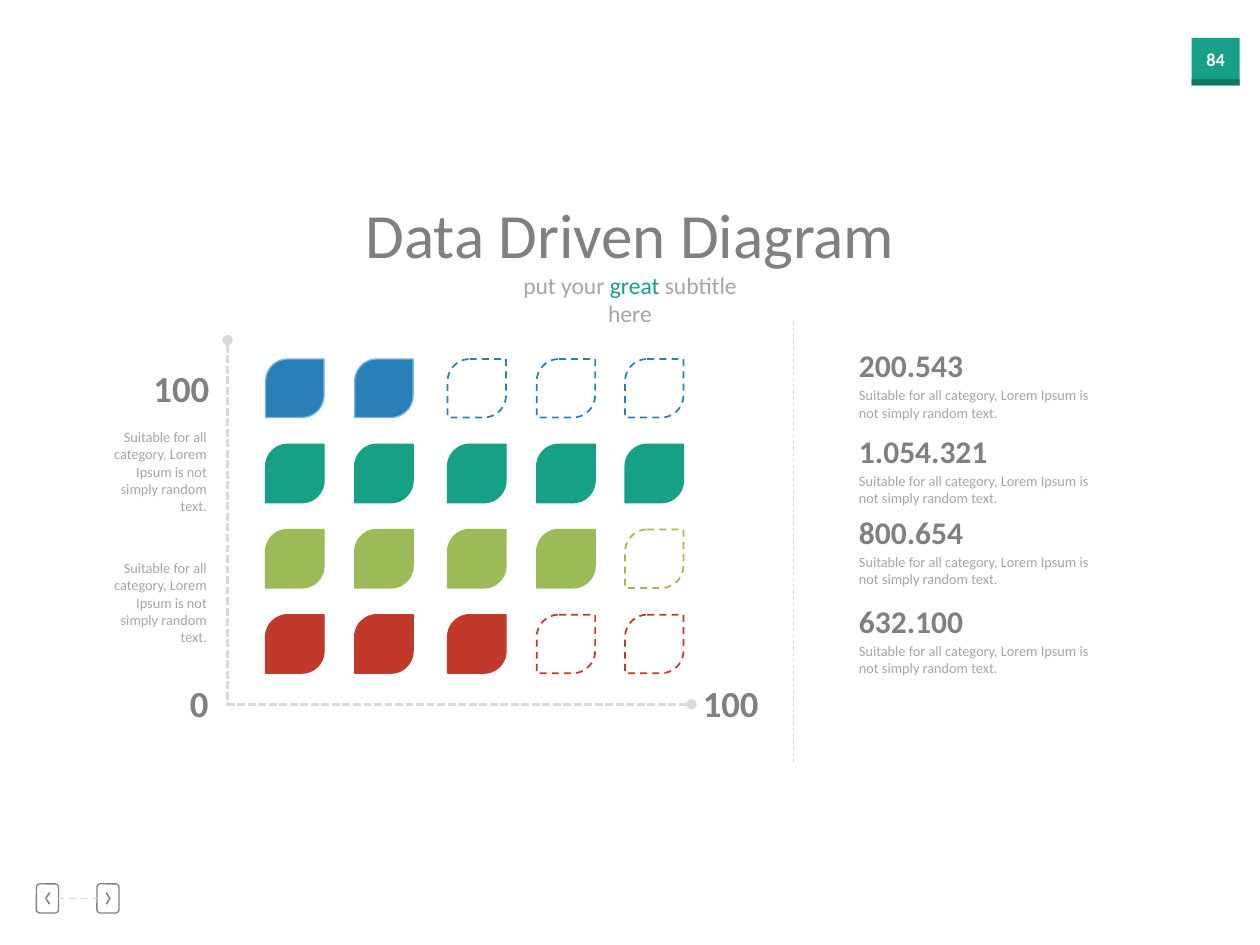
from dataclasses import dataclass

from lxml.etree import SubElement
from pptx import Presentation
from pptx.dml.color import RGBColor
from pptx.enum.dml import MSO_LINE_DASH_STYLE as Dash
from pptx.enum.shapes import MSO_CONNECTOR, MSO_SHAPE as Preset
from pptx.enum.text import PP_ALIGN as Align
from pptx.oxml.ns import qn
from pptx.util import Pt


@dataclass(frozen=True)
class Theme:
    font: str = "Calibri"
    white: str = "FFFFFF"
    dark: str = "808080"
    muted: str = "A6A6A6"
    rule: str = "D9D9D9"
    teal: str = "16A085"
    deep_teal: str = "107864"
    blue: str = "2980B9"
    light_blue: str = "74B5E0"
    green: str = "9BBB59"
    red: str = "C0392B"
    title: float = 36
    axis: float = 21
    figure: float = 18
    subtitle: float = 13.5
    badge: float = 10.5
    caption: float = 8.2


CAPTION = "Suitable for all category, Lorem Ipsum is not simply random text."
PETAL_SIZE = 33.4
PETAL_COLUMNS = (151.8, 202.7, 255.8, 306.7, 357.2)
PETAL_TOP, PETAL_PITCH = 205.2, 48.7
FIGURES = (("200.543", 194.4), ("1.054.321", 243.4),
           ("800.654", 289.4), ("632.100", 340.6))
ARROW = ((2.2, 0), (2.9, 0.7), (0.9, 3.6), (2.9, 6.5), (2.2, 7.2), (0, 3.6))


class Deck:
    def __init__(self, slide, theme):
        self.shapes = slide.shapes
        self.theme = theme

    def paint(self, shape, fill=None, line=None, weight=0.75, dash=None):
        shape.shadow.inherit = False
        if fill:
            shape.fill.solid()
            shape.fill.fore_color.rgb = RGBColor.from_string(fill)
        else:
            shape.fill.background()
        if line:
            shape.line.color.rgb = RGBColor.from_string(line)
            shape.line.width = Pt(weight)
            if dash:
                shape.line.dash_style = dash
        else:
            shape.line.fill.background()

    def preset(self, kind, left, top, width, height, rounding=(), **paint):
        shape = self.shapes.add_shape(
            kind, Pt(left), Pt(top), Pt(width), Pt(height))
        for index, amount in enumerate(rounding):
            shape.adjustments[index] = amount
        self.paint(shape, **paint)

    def polygon(self, points, **paint):
        corners = [(Pt(x), Pt(y)) for x, y in points]
        builder = self.shapes.build_freeform(*corners[0], scale=1.0)
        builder.add_line_segments(corners[1:], close=True)
        self.paint(builder.convert_to_shape(), **paint)

    def rule(self, start, end, weight, dash, **ends):
        """Dashed line; ends may give headEnd or tailEnd an arrowhead type."""
        line = self.shapes.add_connector(
            MSO_CONNECTOR.STRAIGHT, *(Pt(v) for v in (*start, *end)))
        line.line.color.rgb = RGBColor.from_string(self.theme.rule)
        line.line.width = Pt(weight)
        line.line.dash_style = dash
        outline = line.line._get_or_add_ln()
        for tag, kind in ends.items():
            SubElement(outline, qn(f"a:{tag}"), type=kind)
        SubElement(line._element.spPr, qn("a:effectLst"))

    def text(self, parts, left, top, width, height, size, color,
             align=Align.LEFT, bold=False, wrap=False):
        """One paragraph; parts is a string or a list of (text, color)."""
        box = self.shapes.add_textbox(Pt(left), Pt(top), Pt(width), Pt(height))
        box.text_frame.word_wrap = wrap
        paragraph = box.text_frame.paragraphs[0]
        paragraph.alignment = align
        if isinstance(parts, str):
            paragraph.add_run().text = parts
            paragraph.font.color.rgb = RGBColor.from_string(color)
        else:
            for words, tint in parts:
                run = paragraph.add_run()
                run.text = words
                run.font.color.rgb = RGBColor.from_string(tint)
        paragraph.font.name = self.theme.font
        paragraph.font.size = Pt(size)
        paragraph.font.bold = bold

    def caption(self, left, top, width, height, align=Align.LEFT):
        self.text(CAPTION, left, top, width, height, self.theme.caption,
                  self.theme.muted, align, wrap=True)

    def petal(self, left, top, **paint):
        self.preset(Preset.ROUND_2_DIAG_RECTANGLE, left, top,
                    PETAL_SIZE, PETAL_SIZE, rounding=(0.38, 0), **paint)

    def nav_button(self, left, forward):
        gray = self.theme.dark
        self.preset(Preset.ROUNDED_RECTANGLE, left, 505.1, 12.6, 16.6,
                    rounding=(0.15,), line=gray)
        self.polygon([(left + (7.9 - x if forward else 5 + x), 509.8 + y)
                      for x, y in ARROW], fill=gray)


def main():
    presentation = Presentation()
    presentation.slide_width, presentation.slide_height = Pt(720), Pt(540)
    theme = Theme()
    deck = Deck(presentation.slides.add_slide(presentation.slide_layouts[6]),
                theme)

    # Page badge and navigation
    deck.preset(Preset.RECTANGLE, 681, 21.6, 27.4, 27.2, fill=theme.teal)
    deck.preset(Preset.RECTANGLE, 681, 45.2, 27.4, 3.6, fill=theme.deep_teal)
    deck.text("84", 681, 23.8, 27.4, 20, theme.badge, theme.white,
              Align.CENTER, bold=True)
    deck.nav_button(20.8, forward=False)
    deck.nav_button(55.4, forward=True)
    deck.rule((32.4, 513.4), (55.4, 513.4), 1, Dash.DASH)

    # Heading
    deck.text([("put your ", theme.muted), ("great", theme.teal),
               (" subtitle here", theme.muted)], 280, 151.2, 160, 24,
              theme.subtitle, theme.muted, Align.CENTER, wrap=True)
    deck.text("Data Driven Diagram", 200.9, 108, 318.2, 51, theme.title,
              theme.dark, Align.CENTER)

    # Axes
    deck.rule((130.1, 194.4), (130.1, 403), 1.5, Dash.SQUARE_DOT,
              headEnd="oval")
    deck.rule((129.6, 402.5), (395.2, 402.5), 1.5, Dash.SQUARE_DOT,
              tailEnd="oval")
    for label, left, top, width in (("100", 79.9, 205.2, 46.8),
                                    ("0", 101, 385.2, 25.2),
                                    ("100", 393.8, 385.2, 46.8)):
        deck.text(label, left, top, width, 32.4, theme.axis, theme.dark,
                  Align.RIGHT, bold=True)
    for top in (241.2, 316.1):
        deck.caption(57.6, top, 67.7, 57.6, Align.RIGHT)

    # Petal rows: fill colour, edge colour, number filled
    rows = ((theme.blue, theme.light_blue, 2), (theme.teal, theme.teal, 5),
            (theme.green, theme.green, 4), (theme.red, theme.red, 3))
    for row, (color, edge, filled) in enumerate(rows):
        top = PETAL_TOP + row * PETAL_PITCH
        for column, left in enumerate(PETAL_COLUMNS):
            if column < filled:
                deck.petal(left, top, fill=color, line=edge)
            else:
                deck.petal(left, top, line=color, weight=1, dash=Dash.DASH)

    # Figures
    deck.rule((453.6, 183.6), (453.6, 436.3), 0.5, Dash.DASH)
    for figure, top in FIGURES:
        width = 88.6 if len(figure) > 7 else 74.9
        deck.text(figure, 483.8, top, width, 28.8, theme.figure, theme.dark,
                  bold=True)
        deck.caption(483.8, top + 22.9, 158, 27.4)

    presentation.save("out.pptx")


if __name__ == "__main__":
    main()
